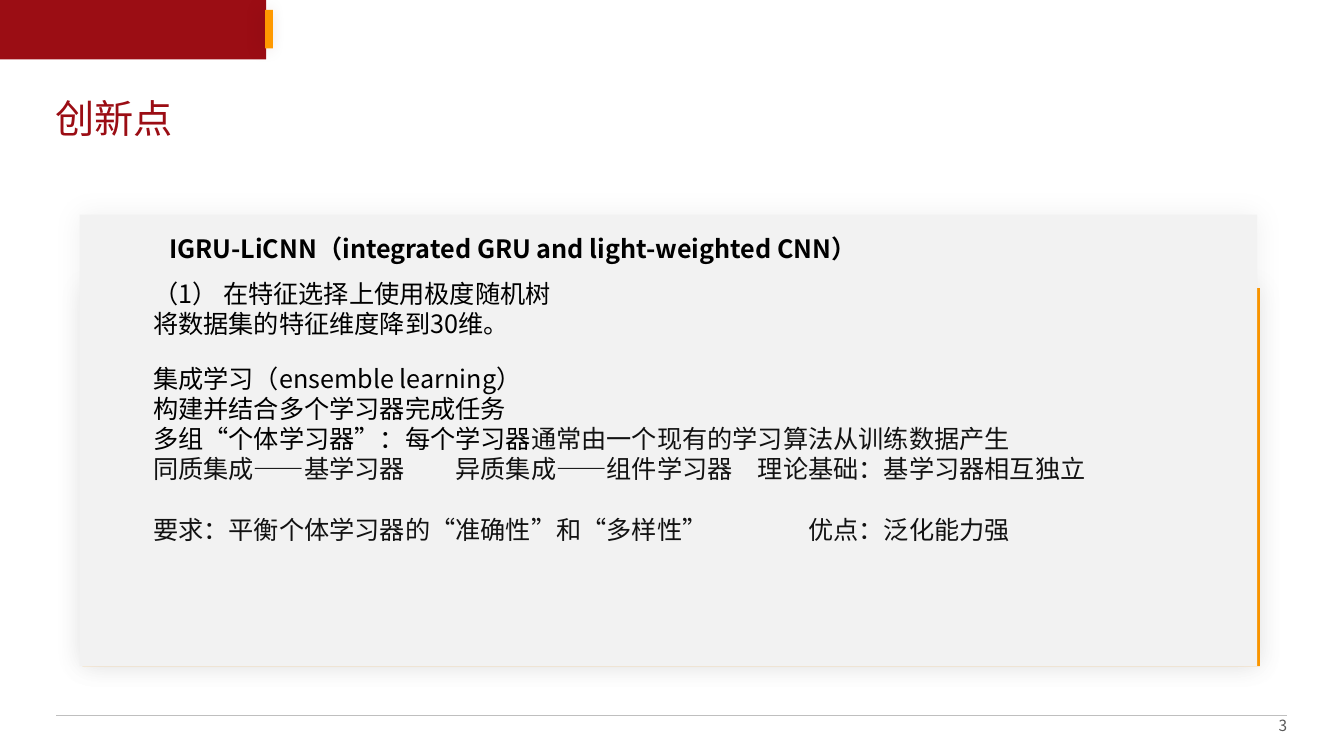
from dataclasses import dataclass

from lxml import etree
from pptx import Presentation
from pptx.dml.color import RGBColor
from pptx.enum.shapes import MSO_CONNECTOR, MSO_SHAPE
from pptx.enum.text import MSO_ANCHOR, MSO_AUTO_SIZE, PP_ALIGN
from pptx.oxml.ns import qn
from pptx.util import Cm, Pt

RECT, LINE = MSO_SHAPE.RECTANGLE, MSO_CONNECTOR.STRAIGHT
TOP, MIDDLE = MSO_ANCHOR.TOP, MSO_ANCHOR.MIDDLE
LEFT, RIGHT = PP_ALIGN.LEFT, PP_ALIGN.RIGHT
NO_FIT = MSO_AUTO_SIZE.NONE
SANS, LATO = "Noto Sans CJK SC", "Lato"
RED, ORANGE, BLACK, INK = "9B0D14", "FF9900", "000000", "121212"


@dataclass
class Shade:
    color: str
    alpha: int
    blur: float
    dist: float = 0
    angle: int = 0


@dataclass
class Block:
    box: tuple[float, float, float, float]
    fill: str
    shade: Shade | None = None


@dataclass
class Part:
    text: str
    color: str = BLACK
    face: str = SANS


@dataclass
class Note:
    box: tuple[float, float, float, float]
    lines: list[list[Part]]
    size: float = 18
    bold: bool = False
    align: PP_ALIGN = LEFT
    anchor: MSO_ANCHOR = TOP
    right: float = 0.25
    wrap: bool = True


# Lengths in centimetres
BLOCKS = [
    Block((0, 0, 6.71, 1.5), RED),
    Block((6.68, 0.25, 0.2, 0.97), ORANGE, Shade("60080C", 20, 12, 3, 180)),
    Block((2.08, 7.26, 29.67, 9.53), ORANGE, Shade(BLACK, 8, 18)),
    Block((2.01, 5.41, 29.67, 11.38), "F2F2F2", Shade(BLACK, 6, 20)),
]
TITLE = Note((1.14, 2.24, 3.51, 1.45), [[Part("创新点", RED)]], 28, wrap=False)
NOTES = [
    Note((29.9, 17.88, 2.54, 0.81), [[Part("3", "595959")]], 11,
         align=RIGHT, anchor=MIDDLE, right=0),
    Note((3.61, 6.88, 10.74, 1.8),
         [[Part("（1） 在特征选择上使用极度随机树将数据集的特征维度降到30维。")]]),
    Note((4.01, 5.74, 25.48, 1.02),
         [[Part("IGRU-LiCNN（integrated GRU and light-weighted CNN）")]],
         bold=True),
]
BODY = Note((3.61, 9.02, 27.53, 4.88), [
    [Part("集成学习（ensemble learning）")],
    [Part("构建并结合多个学习器完成任务")],
    [Part("多组“个体学习器”：每个学习器"),
     Part("通常由一个现有的学习算法从训练数据产生", INK, LATO)],
    [Part("同质集成——基学习器\t异质集成——组件学习器\t理论基础：基学习器相互独立",
          INK, LATO)],
    [Part("要求：平衡个体学习器的“准确性”和“多样性”\t\t优点：泛化能力强",
          INK, LATO)],
])


def rgb(code: str) -> RGBColor:
    return RGBColor.from_string(code)


def style(font, part: Part, note: Note) -> None:
    font.size, font.bold, font.name = Pt(note.size), note.bold, part.face
    font.color.rgb = rgb(part.color)
    etree.SubElement(font._element, qn("a:ea"), typeface=SANS)


def cast(shape, shade: Shade) -> None:
    glow = etree.SubElement(
        shape._element.spPr.find(qn("a:effectLst")), qn("a:outerShdw"),
        blurRad=str(Pt(shade.blur)), dist=str(Pt(shade.dist)),
        dir=str(shade.angle * 60000), algn="ctr", rotWithShape="0")
    tint = etree.SubElement(glow, qn("a:srgbClr"), val=shade.color)
    etree.SubElement(tint, qn("a:alpha"), val=str(shade.alpha * 1000))


def draw(slide, block: Block) -> None:
    shape = slide.shapes.add_shape(RECT, *map(Cm, block.box))
    shape.shadow.inherit = False
    shape.fill.solid()
    shape.fill.fore_color.rgb = rgb(block.fill)
    shape.line.fill.background()
    if block.shade:
        cast(shape, block.shade)


def write(shape, note: Note) -> None:
    shape.left, shape.top, shape.width, shape.height = map(Cm, note.box)
    frame = shape.text_frame
    frame.auto_size, frame.word_wrap = NO_FIT, note.wrap
    frame.vertical_anchor = note.anchor
    frame.margin_left, frame.margin_right = Cm(0.25), Cm(note.right)
    frame.margin_top = frame.margin_bottom = Cm(0.13)
    for i, parts in enumerate(note.lines):
        para = frame.add_paragraph() if i else frame.paragraphs[0]
        para.alignment = note.align
        for part in parts:
            run = para.add_run()
            run.text = part.text
            if len(parts) > 1:
                style(run.font, part, note)
        if len(parts) == 1:
            style(para.font, parts[0], note)


def main() -> None:
    deck = Presentation()
    deck.slide_width, deck.slide_height = Cm(33.87), Cm(19.05)
    slide = deck.slides.add_slide(deck.slide_layouts[5])

    # Header bar and content panel
    for block in BLOCKS:
        draw(slide, block)

    # Footer rule
    rule = slide.shapes.add_connector(
        LINE, Cm(1.42), Cm(18.03), Cm(32.44), Cm(18.03))
    rule.line.color.rgb = rgb("BFBFBF")
    rule.line.width = Pt(0.5)
    etree.SubElement(rule._element.spPr, qn("a:effectLst"))

    # Title, page number and texts
    write(slide.shapes.title, TITLE)
    for note in NOTES:
        write(slide.shapes.add_textbox(*map(Cm, note.box)), note)
    body = slide.shapes.add_textbox(*map(Cm, BODY.box))
    write(body, BODY)
    body.text_frame.paragraphs[-1].space_before = Pt(21.7)

    deck.save("out.pptx")


if __name__ == "__main__":
    main()
